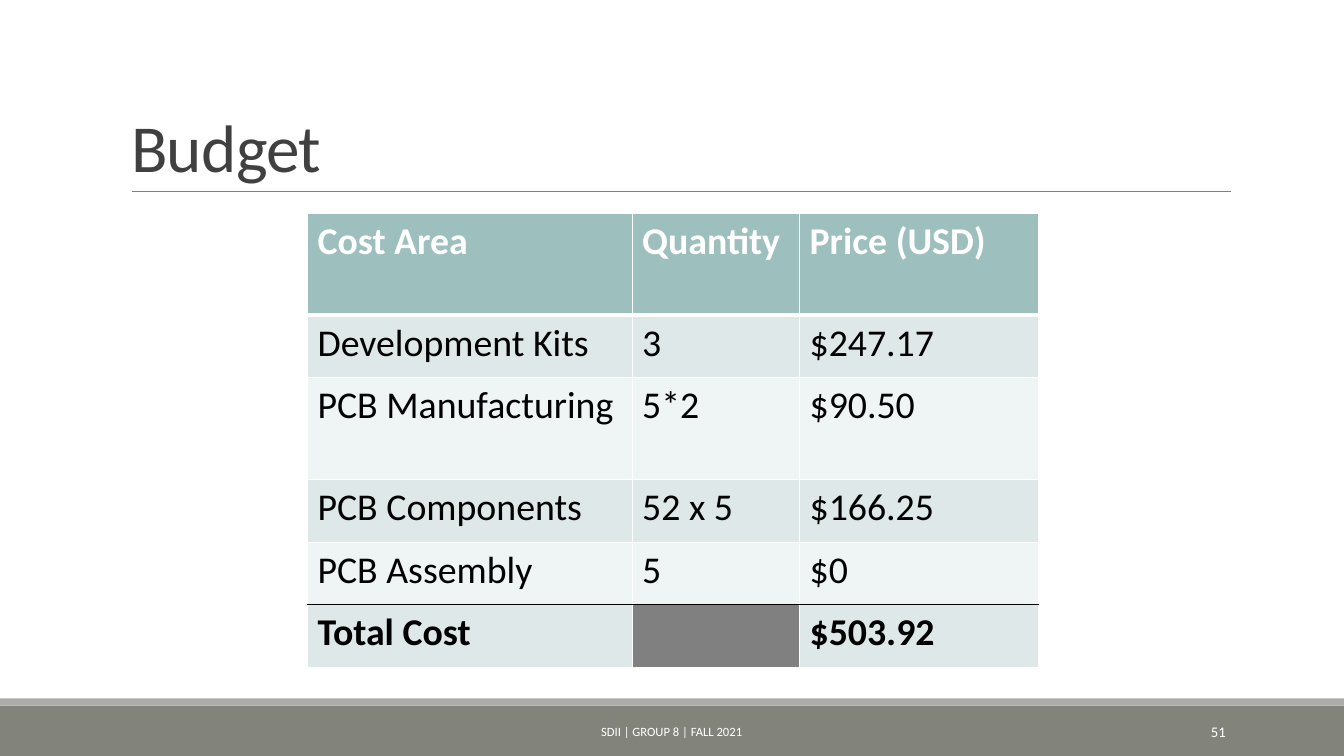
from lxml.etree import SubElement
from pptx import Presentation
from pptx.dml.color import RGBColor
from pptx.enum.shapes import MSO_CONNECTOR, MSO_SHAPE
from pptx.enum.text import MSO_ANCHOR, MSO_AUTO_SIZE, PP_ALIGN
from pptx.oxml.ns import qn
from pptx.util import Cm, Pt

WIDE, HIGH = 33.87, 19.05
COSTS = [
    ("Cost Area", "Quantity", "Price (USD)"),
    ("Development Kits", "3", "$247.17"),
    ("PCB Manufacturing", "5*2", "$90.50"),
    ("PCB Components", "52 x 5", "$166.25"),
    ("PCB Assembly", "5", "$0"),
    ("Total Cost", "", "$503.92"),
]
COLS = [8.18, 4.22, 6.02]
ROWS = [2.56, 1.58, 2.56, 1.58, 1.58, 1.58]


def paint(color, hue):
    color.rgb = RGBColor.from_string(hue)


def write(frame, text, size, hue="000000", bold=False, align=PP_ALIGN.LEFT,
          anchor=MSO_ANCHOR.TOP, lead=None, track=None):
    """Fill a text frame; track is the letter spacing in points."""
    frame.word_wrap = True
    frame.vertical_anchor = anchor
    para = frame.paragraphs[0]
    para.alignment = align
    para.line_spacing = lead
    run = para.add_run()
    run.text = text
    font = run.font
    font.name, font.size, font.bold = "Calibri", Pt(size), bold
    paint(font.color, hue)
    if track is not None:
        run._r.get_or_add_rPr().set("spc", str(int(track * 100)))


def bar(slide, top, height, hue):
    shape = slide.shapes.add_shape(
        MSO_SHAPE.RECTANGLE, 0, Cm(top), Cm(WIDE), Cm(height))
    shape.shadow.inherit = False
    shape.fill.solid()
    paint(shape.fill.fore_color, hue)
    shape.line.fill.background()


def label(slide, left, top, width, height, text, **form):
    box = slide.shapes.add_textbox(Cm(left), Cm(top), Cm(width), Cm(height))
    write(box.text_frame, text, hue="FFFFFF", anchor=MSO_ANCHOR.MIDDLE, **form)


def footer(slide, top):
    bar(slide, top + 0.18, HIGH - top - 0.18, "82847C")
    bar(slide, top, 0.18, "ACADA8")
    label(slide, 10.23, top + 0.33, 13.39, 1.02,
          "SDII | GROUP 8 | FALL 2021", size=9, align=PP_ALIGN.CENTER)
    label(slide, 27.5, top + 0.33, 3.64, 1.02,
          "51", size=10.5, align=PP_ALIGN.RIGHT)


def header(slide, left, top, width, height):
    title = slide.shapes.title
    title.left, title.top = Cm(left), Cm(top)
    title.width, title.height = Cm(width), Cm(height)
    title.text_frame.auto_size = MSO_AUTO_SIZE.NONE
    write(title.text_frame, "Budget", 48, "404040", anchor=MSO_ANCHOR.BOTTOM,
          lead=0.85, track=-0.5)
    base = Cm(top + height)
    rule = slide.shapes.add_connector(
        MSO_CONNECTOR.STRAIGHT, Cm(left + 0.28), base,
        Cm(left + width + 0.02), base)
    rule.line.width = Pt(0.5)
    paint(rule.line.color, "808080")
    SubElement(rule._element.spPr, qn("a:effectLst"))


def edge(cell, side, hue="FFFFFF", width=1):
    line = SubElement(cell._tc.get_or_add_tcPr(), qn("a:ln" + side),
                      w=str(Pt(width)))
    fill = SubElement(line, qn("a:solidFill"))
    SubElement(fill, qn("a:srgbClr"), val=hue)


def border(cell, row, last):
    """White edges, thick under the head and black above the total."""
    edge(cell, "L")
    edge(cell, "R")
    edge(cell, "T", "000000" if row == last else "FFFFFF", 3 if row == 1 else 1)
    edge(cell, "B", "000000" if row == last - 1 else "FFFFFF",
         3 if row == 0 else 1)


def budget(slide, left, top):
    table = slide.shapes.add_table(
        len(ROWS), len(COLS), Cm(left), Cm(top),
        Cm(sum(COLS)), Cm(sum(ROWS))).table
    for col, width in zip(table.columns, COLS):
        col.width = Cm(width)
    last = len(ROWS) - 1
    for i, texts in enumerate(COSTS):
        table.rows[i].height = Cm(ROWS[i])
        band = "9DBFBE" if i == 0 else "DFE8E8" if i % 2 else "EFF4F4"
        for j, text in enumerate(texts):
            cell = table.cell(i, j)
            border(cell, i, last)
            cell.fill.solid()
            paint(cell.fill.fore_color, band if text else "808080")
            if text:
                write(cell.text_frame, text, 27, "000000" if i else "FFFFFF",
                      bold=i in (0, last))


def main():
    deck = Presentation()
    deck.slide_width, deck.slide_height = Cm(WIDE), Cm(HIGH)
    slide = deck.slides.add_slide(deck.slide_layouts[5])
    footer(slide, 17.6)
    header(slide, 3.05, 0.79, 27.94, 4.04)
    budget(slide, 7.75, 5.38)
    deck.save("out.pptx")


if __name__ == "__main__":
    main()
